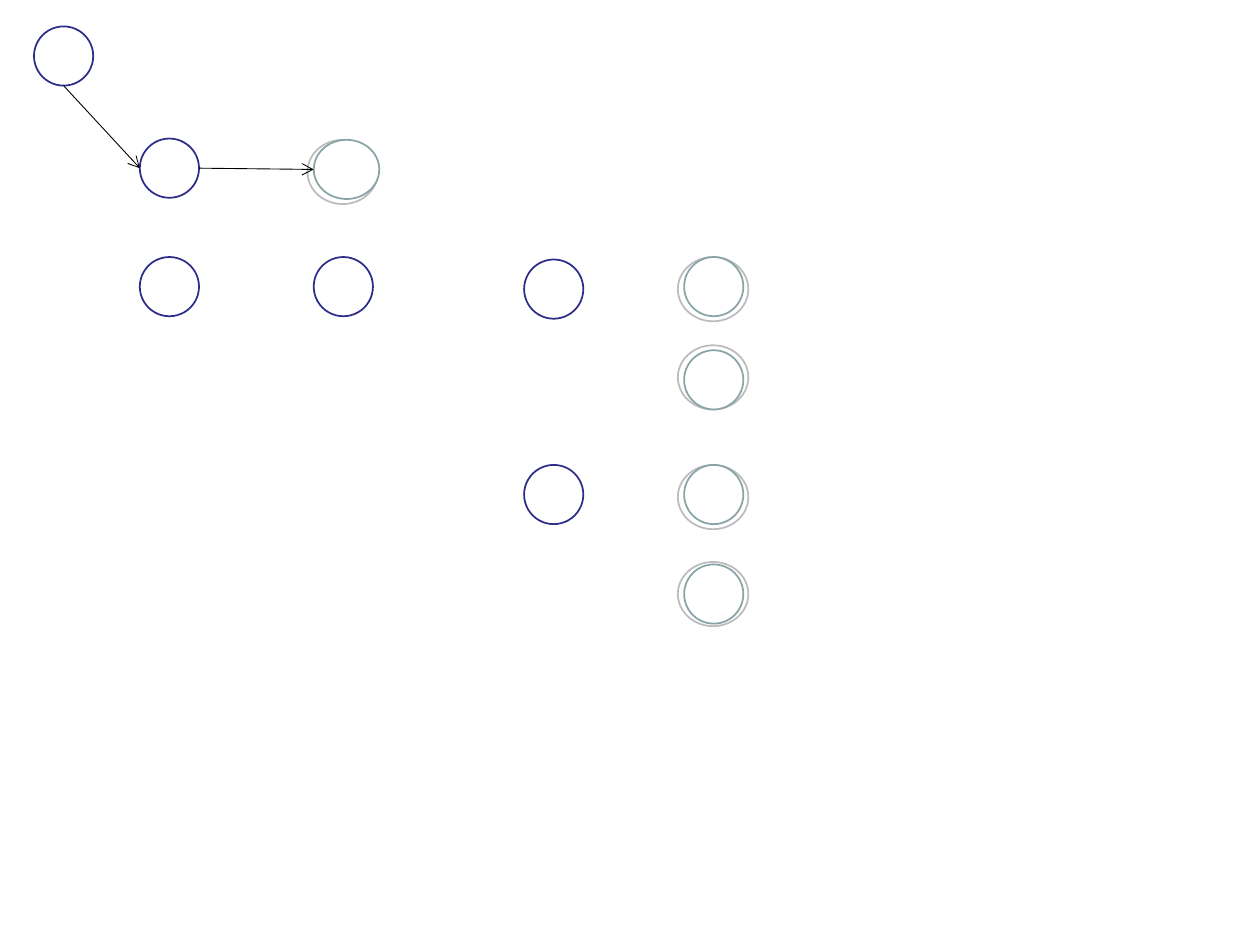
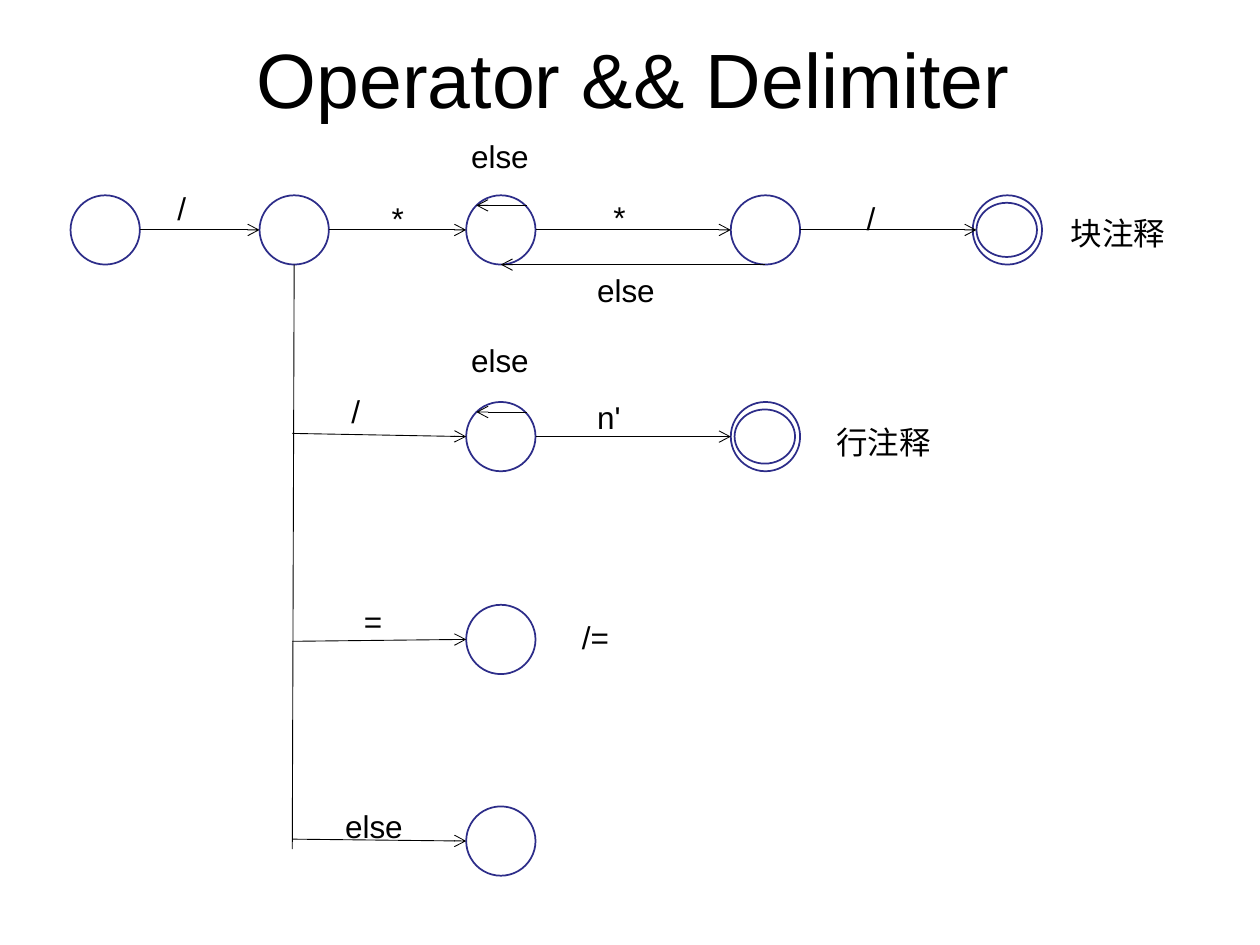
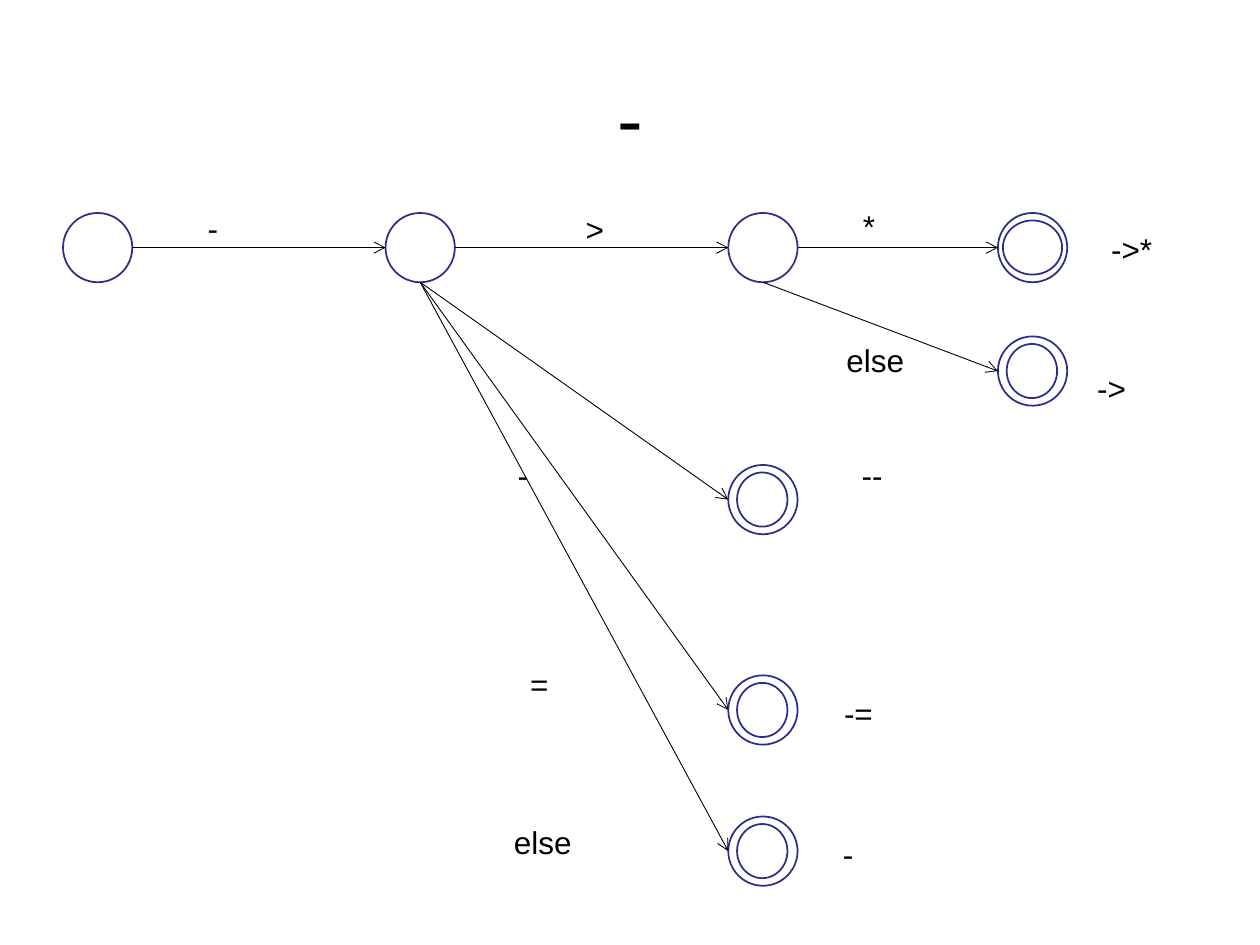
from dataclasses import dataclass

from lxml import etree
from pptx import Presentation
from pptx.dml.color import RGBColor
from pptx.enum import shapes, text
from pptx.oxml import ns
from pptx.util import Inches, Pt

WHITE = RGBColor(0xFF, 0xFF, 0xFF)
BLACK = RGBColor(0, 0, 0)
NAVY = RGBColor(0x2D, 0x2D, 0x89)
GRAY = RGBColor(0xBC, 0xBC, 0xBC)
TEAL = RGBColor(0x89, 0xA4, 0xA7)
FONT = "Arial"
SMALL = 0.47
LARGE = 0.55


@dataclass
class Ring:
    """A drawn state, in inches relative to its pane."""
    x: float
    y: float
    w: float
    h: float

    @property
    def left(self):
        """Middle of the left side."""
        return self.x, self.y + self.h / 2

    @property
    def right(self):
        """Middle of the right side."""
        return self.x + self.w, self.y + self.h / 2

    @property
    def bottom(self):
        """Middle of the lower side."""
        return self.x + self.w / 2, self.y + self.h


@dataclass
class Pane:
    """A region of a slide whose parts are placed from its corner."""
    slide: object
    x: float
    y: float

    def spot(self, x, y):
        """Turn a place in the pane into slide lengths."""
        return Inches(self.x + x), Inches(self.y + y)

    def ring(self, x, y, w=LARGE, h=None, color=NAVY):
        """Draw one circle or ellipse."""
        h = h or w
        oval = self.slide.shapes.add_shape(
            shapes.MSO_SHAPE.OVAL, *self.spot(x, y), Inches(w), Inches(h))
        oval.shadow.inherit = False
        oval.fill.solid()
        oval.fill.fore_color.rgb = WHITE
        oval.line.color.rgb = color
        oval.line.width = Pt(1)
        return Ring(x, y, w, h)

    def final(self, x, y, dx=0.07, w=0.4):
        """Draw an accepting state and return its outer and inner rings."""
        return self.ring(x, y), self.ring(x + dx, y + 0.06, w, 0.43)

    def link(self, start, end, arrow=True):
        """Draw a thin line, with an open arrowhead if asked."""
        line = self.slide.shapes.add_connector(
            shapes.MSO_CONNECTOR.STRAIGHT, *self.spot(*start), *self.spot(*end))
        line.line.color.rgb = BLACK
        line.line.width = Pt(0.5)
        props = line._element.spPr
        if arrow:
            etree.SubElement(props.find(ns.qn("a:ln")), ns.qn("a:tailEnd"), type="arrow")
        etree.SubElement(props, ns.qn("a:effectLst"))

    def label(self, words, x, y, w, h=0.4, size=18):
        """Add black text in a wrapping box and return its frame."""
        box = self.slide.shapes.add_textbox(*self.spot(x, y), Inches(w), Inches(h))
        frame = box.text_frame
        frame.word_wrap = True
        frame.text = words
        font = frame.paragraphs[0].font
        font.name, font.size, font.color.rgb = FONT, Pt(size), BLACK
        return frame

    def title(self, words):
        """Add the centred slide title."""
        frame = self.label(words, 0, 0, 9, 1.25, 44)
        frame.vertical_anchor = text.MSO_ANCHOR.MIDDLE
        frame.paragraphs[0].alignment = text.PP_ALIGN.CENTER


def draft(pane):
    """Draw the unlabelled states with their shaded end states."""
    pane.ring(2.17, 0.9, 0.56, 0.51, GRAY)
    start = pane.ring(0, 0, SMALL)
    end = pane.ring(2.22, 0.9, 0.52, SMALL, TEAL)
    mid = pane.ring(0.84, 0.89, SMALL)
    for x, y in ((3.89, 3.48), (2.22, 1.83), (3.89, 1.85), (0.84, 1.83)):
        pane.ring(x, y, SMALL)
    for back, front in ((1.83, 1.83), (2.53, 2.57), (3.48, 3.48), (4.25, 4.27)):
        pane.ring(5.11, back, 0.56, 0.51, GRAY)
        pane.ring(5.16, front, SMALL, color=TEAL)
    pane.link(start.bottom, mid.left)
    pane.link(mid.right, end.left)


def slash(pane):
    """Draw the states reached from a slash, one row per branch."""
    cols = 0, 1.5, 3.14, 5.24
    rows = 1.64, 3.25, 4.85
    start, first, block, star = [pane.ring(x, 0) for x in cols]
    done = pane.final(7.16, 0, 0.03, 0.48)[1]
    ends = [pane.ring(cols[2], y) for y in rows]
    note = pane.final(cols[3], rows[0], 0.03, 0.48)[0]

    for a, b in ((start, first), (first, block), (block, star),
                 (star, done), (ends[0], note)):
        pane.link(a.right, b.left)
    pane.link(star.bottom, block.bottom)
    pane.link(first.bottom, (1.76, 5.19), False)
    for y, end in zip((1.89, 3.54, 5.11), ends):
        pane.link((1.76, y), end.left)
    for loop in (block, ends[0]):
        pane.link((loop.x + 0.48, loop.y + 0.08), (loop.x + 0.08, loop.y + 0.08))

    for item in (
            ("/", 0.75, -0.1, 0.62), ("*", 2.45, -0.02, 0.34),
            ("*", 4.21, -0.03, 0.62), ("/", 6.22, -0.02, 0.43),
            ("/", 2.13, 1.51, 0.66), ("n'", 4.08, 1.56, 0.6),
            ("=", 2.23, 3.18, 0.56), ("else", 2.08, 4.81, 0.86),
            ("/=", 3.96, 3.31, 0.72), ("块注释", 7.84, 0.1, 1.01),
            ("行注释", 5.98, 1.76, 0.98), ("else", 3.08, 1.11, 1.14),
            ("else", 3.08, -0.51, 1.14), ("else", 4.08, 0.55, 1.14)):
        pane.label(*item)


def minus(pane):
    """Draw the states reached from a minus sign."""
    start, first, more = [pane.ring(x, 0) for x in (0, 2.56, 5.28)]
    ends = [pane.final(more.x, y)[0] for y in (2, 3.67, 4.79)]
    star = pane.final(7.42, 0, 0.04, 0.47)[0]
    other = pane.final(7.42, 0.98)[0]

    for a, b in ((start, first), (first, more), (more, star)):
        pane.link(a.right, b.left)
    for end in ends:
        pane.link(first.bottom, end.left)
    pane.link(more.bottom, other.left)

    for item in (
            ("-", 3.51, 1.88, 0.99), ("--", 6.24, 1.88, 0.79),
            ("=", 3.61, 3.54, 1.18), ("-=", 6.1, 3.77, 0.92),
            ("else", 3.48, 4.79, 0.7), ("-", 6.09, 4.89, 0.69),
            ("-", 1.05, -0.08, 0.61), (">", 4.05, -0.07, 0.69),
            ("*", 6.25, -0.1, 0.61), ("->*", 8.22, 0.09, 0.77),
            ("else", 6.12, 0.97, 0.9), ("->", 8.11, 1.19, 0.96)):
        pane.label(*item)


def main():
    """Build the three slides and save them."""
    deck = Presentation()
    deck.slide_width, deck.slide_height = Inches(10), Inches(7.5)
    one, two, three = [deck.slides.add_slide(deck.slide_layouts[6]) for _ in range(3)]
    draft(Pane(one, 0.27, 0.21))
    Pane(two, 0.53, -0.01).title("Operator && Delimiter")
    slash(Pane(two, 0.56, 1.55))
    Pane(three, 0.5, 0.3).title("-")
    minus(Pane(three, 0.5, 1.69))
    deck.save("out.pptx")


if __name__ == "__main__":
    main()
